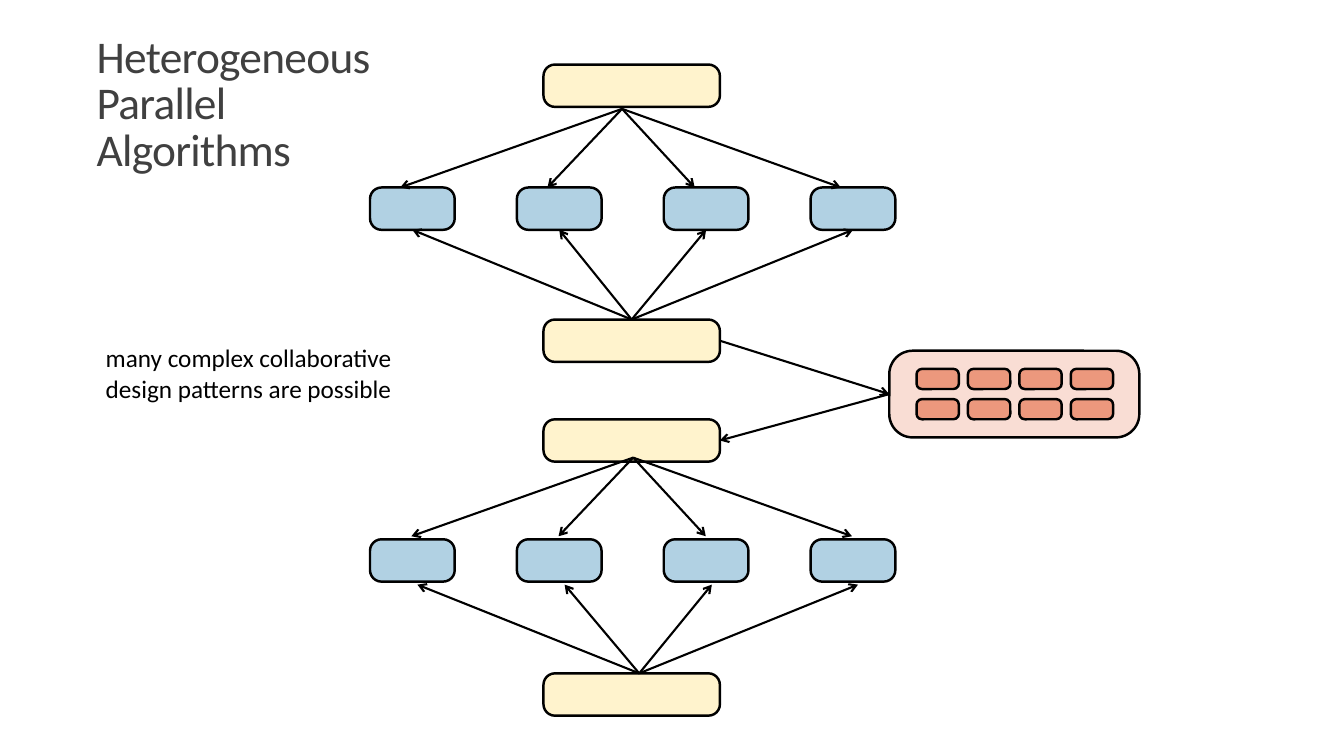
from lxml import etree
from pptx import Presentation
from pptx import util as u
from pptx.dml.color import RGBColor
from pptx.enum import shapes, text
from pptx.oxml.ns import qn

COLOURS = {
    "title": "404040", "ink": "000000", "serial": "FFF3CD",
    "worker": "B1D1E3", "device": "F9DDD4", "core": "EC987D",
}
FONT = "Calibri"
SERIAL_LEFT, SERIAL_WIDTH, BOX_HEIGHT = 5.39, 1.75, 0.42
WORKERS_LEFT, WORKERS_WIDTH = 3.67, 5.21
FAN_OFFSETS = (-2.2, -0.74, 0.72, 2.17)


def colour(name):
    """Return the named colour."""
    return RGBColor.from_string(COLOURS[name])


def add_label(slide, box, words, size, ink):
    """Add wrapped text in the given box and return its shape."""
    shape = slide.shapes.add_textbox(*map(u.Inches, box))
    shape.text_frame.word_wrap = True
    shape.text_frame.text = words
    font = shape.text_frame.paragraphs[0].runs[0].font
    font.name, font.size = FONT, u.Pt(size)
    font.color.rgb = colour(ink)
    return shape


def add_title(slide, box):
    """Add the tightly spaced title, resting on the bottom of its box."""
    shape = add_label(slide, box, "Heterogeneous Parallel Algorithms", 32.4, "title")
    shape.text_frame.vertical_anchor = text.MSO_ANCHOR.BOTTOM
    paragraph = shape.text_frame.paragraphs[0]
    paragraph.line_spacing = 0.85
    paragraph.runs[0].font._element.set("spc", "-50")


def add_note(slide, box):
    """Add the centred remark."""
    words = "many complex collaborative design patterns are possible"
    shape = add_label(slide, box, words, 18, "ink")
    shape.text_frame.paragraphs[0].alignment = text.PP_ALIGN.CENTER


def add_block(parent, box, fill):
    """Add an outlined rounded block to a slide or group."""
    shape = parent.shapes.add_shape(
        shapes.MSO_SHAPE.ROUNDED_RECTANGLE, *map(u.Inches, box))
    shape.adjustments[0] = 0.27
    shape.shadow.inherit = False
    shape.fill.solid()
    shape.fill.fore_color.rgb = colour(fill)
    shape.line.color.rgb = colour("ink")
    shape.line.width = u.Pt(1.75)
    return shape


def add_serial(slide, top):
    """Add a serial step at the given height."""
    return add_block(slide, (SERIAL_LEFT, top, SERIAL_WIDTH, BOX_HEIGHT), "serial")


def add_workers(slide, box):
    """Add a group of four evenly spread workers across the box."""
    left, top, width, height = box
    worker_width = 0.84
    step = (width - worker_width) / 3
    group = slide.shapes.add_group_shape()
    return [add_block(group, (left + i * step, top, worker_width, height), "worker")
            for i in range(4)]


def add_device(slide, box):
    """Add the accelerator with its two rows of four cores."""
    left, top, width, height = box
    device = add_block(slide, box, "device")
    group = slide.shapes.add_group_shape()
    for row in range(2):
        for column in range(4):
            core = (left + 0.27 + column * 0.51, top + 0.18 + row * 0.3, 0.42, 0.2)
            add_block(group, core, "core")
    return device


def add_arrow(slide, start, end):
    """Add an arrow between two points."""
    arrow = slide.shapes.add_connector(
        shapes.MSO_CONNECTOR.STRAIGHT, *map(u.Inches, (*start, *end)))
    arrow.line.color.rgb = colour("ink")
    arrow.line.width = u.Pt(1.5)
    etree.SubElement(arrow.line._get_or_add_ln(), qn("a:tailEnd"), type="arrow")
    etree.SubElement(arrow._element.spPr, qn("a:effectLst"))
    return arrow


def join(slide, source, source_side, target, target_side):
    """Add an arrow joined to the sides of two blocks."""
    arrow = add_arrow(slide, (0, 0), (1, 1))
    arrow.begin_connect(source, source_side)
    arrow.end_connect(target, target_side)


def add_fan(slide, apex, drop):
    """Spread four arrows from the apex to points a given drop below it."""
    x, y = apex
    for offset in FAN_OFFSETS:
        add_arrow(slide, apex, (x + offset, y + drop))


def add_diagram(slide, top):
    """Add the two fork and join stages and the offload between them."""
    add_serial(slide, top)
    offload = add_serial(slide, top + 2.53)
    resume = add_serial(slide, top + 3.52)
    add_serial(slide, top + 6.04)
    first_row, _ = [
        add_workers(slide, (WORKERS_LEFT, top + drop, WORKERS_WIDTH, BOX_HEIGHT))
        for drop in (1.22, 4.71)]
    device = add_device(slide, (8.82, top + 2.84, 2.48, 0.86))

    add_fan(slide, (6.17, top + 0.44), 0.78)
    for worker in first_row:
        join(slide, offload, 0, worker, 2)
    add_fan(slide, (6.28, top + 3.9), 0.78)
    add_fan(slide, (6.34, top + 6.04), -0.88)
    join(slide, offload, 3, device, 1)
    join(slide, device, 1, resume, 3)


def main():
    """Build and save the slide."""
    presentation = Presentation()
    presentation.slide_width = u.Inches(13.33)
    presentation.slide_height = u.Inches(7.5)
    slide = presentation.slides.add_slide(presentation.slide_layouts[6])
    add_title(slide, (0.86, 0.96, 3.32, 0.83))
    add_diagram(slide, 0.64)
    add_note(slide, (0.85, 3.35, 3.23, 0.71))
    presentation.save("out.pptx")


if __name__ == "__main__":
    main()
